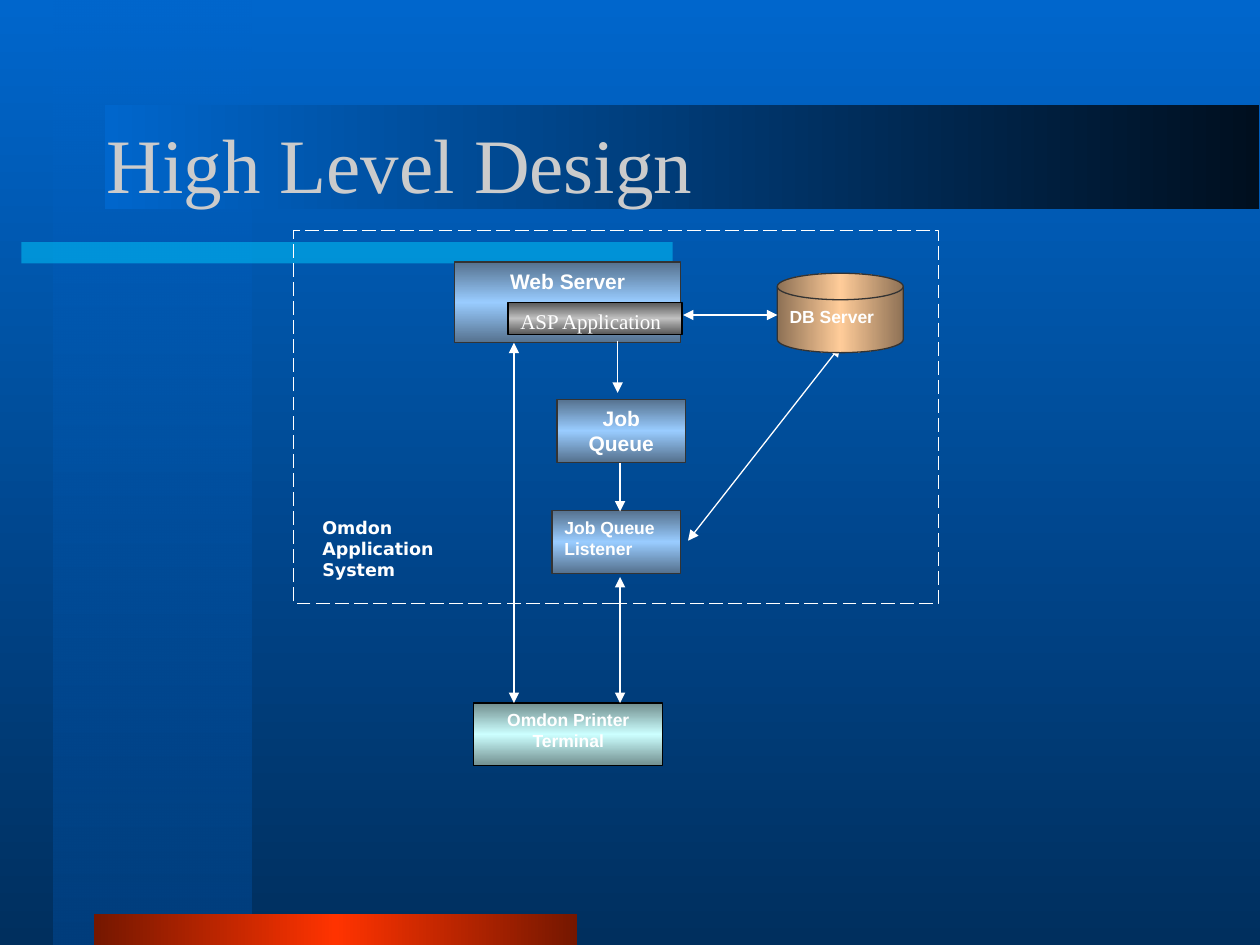
from lxml import etree
from pptx import Presentation
from pptx.dml.color import RGBColor
from pptx.enum.dml import MSO_LINE
from pptx.enum.shapes import MSO_CONNECTOR, MSO_SHAPE
from pptx.enum.text import MSO_ANCHOR, PP_ALIGN
from pptx.oxml.ns import qn
from pptx.util import Cm, Pt

RECTANGLE = MSO_SHAPE.RECTANGLE
DISK = MSO_SHAPE.FLOWCHART_MAGNETIC_DISK
STRAIGHT = MSO_CONNECTOR.STRAIGHT
LONG_DASH = MSO_LINE.LONG_DASH
TOP, MIDDLE = MSO_ANCHOR.TOP, MSO_ANCHOR.MIDDLE
LEFT, CENTER = PP_ALIGN.LEFT, PP_ALIGN.CENTER

SANS, SERIF, LABEL_FONT = "Arial", "Times New Roman", "DejaVu Sans"
DOWN, LEFTWARD = 90, 180

WHITE = RGBColor(0xFF, 0xFF, 0xFF)
BLACK = RGBColor(0x00, 0x00, 0x00)
OUTLINE = RGBColor(0x33, 0x33, 0x33)
TITLE_GREY = RGBColor(0xCB, 0xCB, 0xCB)
CYAN = RGBColor(0x00, 0xCC, 0xFF)
BLUE = RGBColor(0x00, 0x66, 0xCC)
DEEP_BLUE = RGBColor(0x00, 0x2F, 0x5E)
PILLAR_BLUE = RGBColor(0x00, 0x3E, 0x7D)
NIGHT_BLUE = RGBColor(0x00, 0x0F, 0x1F)
RED, DARK_RED = RGBColor(0xFF, 0x33, 0x00), RGBColor(0x75, 0x17, 0x00)
SKY, DARK_SKY = RGBColor(0x99, 0xCC, 0xFF), RGBColor(0x55, 0x71, 0x8E)
ICE, DARK_ICE = RGBColor(0xCC, 0xFF, 0xFF), RGBColor(0x71, 0x8E, 0x8E)
PEACH, DARK_PEACH = RGBColor(0xFF, 0xCC, 0x99), RGBColor(0x8E, 0x71, 0x55)
SILVER, DARK_SILVER = RGBColor(0xC0, 0xC0, 0xC0), RGBColor(0x58, 0x58, 0x58)

SKY_SHEEN = (DARK_SKY, SKY, DARK_SKY)


def set_alpha(color_element, percent):
    etree.SubElement(color_element, qn("a:alpha"), val=str(percent * 1000))


def set_gradient(fill, owner, colors, angle, first_alpha=None):
    """Spread the colors evenly along a linear gradient."""
    fill.gradient()
    gradient = next(owner.iter(qn("a:gradFill")))
    stops = gradient.find(qn("a:gsLst"))
    for stop in list(stops):
        stops.remove(stop)
    for index, color in enumerate(colors):
        position = 100000 * index // (len(colors) - 1)
        stop = etree.SubElement(stops, qn("a:gs"), pos=str(position))
        color_element = etree.SubElement(stop, qn("a:srgbClr"), val=str(color))
        if index == 0 and first_alpha is not None:
            set_alpha(color_element, first_alpha)
    gradient.find(qn("a:lin")).set("ang", str(angle * 60000))


def add_block(slide, box, colors=None, angle=DOWN, first_alpha=None,
              outline=None, kind=RECTANGLE):
    shape = slide.shapes.add_shape(kind, *map(Cm, box))
    shape.shadow.inherit = False
    if colors:
        set_gradient(shape.fill, shape.element, colors, angle, first_alpha)
    else:
        shape.fill.background()
    if outline is None:
        shape.line.fill.background()
    else:
        shape.line.color.rgb = outline
        shape.line.width = Pt(0.75)
    return shape


def write_text(shape, text, size=10, font=SANS, color=WHITE, bold=True,
               align=LEFT, anchor=TOP, side_inset=0.25, space_after=0):
    frame = shape.text_frame
    frame.word_wrap = True
    frame.vertical_anchor = anchor
    frame.margin_left = frame.margin_right = Cm(side_inset)
    frame.margin_top = frame.margin_bottom = Cm(0.13)
    frame.text = text
    for paragraph in frame.paragraphs:
        paragraph.alignment = align
        paragraph.space_after = Pt(space_after)
        paragraph.font.size = Pt(size)
        paragraph.font.name = font
        paragraph.font.bold = bold
        paragraph.font.color.rgb = color


def add_label(slide, box, text, **text_format):
    write_text(slide.shapes.add_textbox(*map(Cm, box)), text, **text_format)


def add_arrow(slide, start, end, width=0.75, both_ends=True):
    connector = slide.shapes.add_connector(STRAIGHT, *map(Cm, start + end))
    connector.line.color.rgb = WHITE
    connector.line.width = Pt(width)
    line = connector.line._get_or_add_ln()
    for tag in ("a:headEnd", "a:tailEnd") if both_ends else ("a:tailEnd",):
        etree.SubElement(line, qn(tag), type="triangle")
    etree.SubElement(connector.element.spPr, qn("a:effectLst"))


def add_backdrop(slide):
    set_gradient(slide.background.fill, slide.element, (BLUE, DEEP_BLUE), DOWN)
    add_block(slide, (1.07, 0, 4.01, 19.05), (BLUE, PILLAR_BLUE), first_alpha=50)
    stripe = add_block(slide, (0.43, 4.88, 13.13, 0.43))
    stripe.fill.solid()
    stripe.fill.fore_color.rgb = CYAN
    set_alpha(next(stripe.element.spPr.iter(qn("a:srgbClr"))), 50)
    add_block(slide, (1.9, 18.42, 9.73, 0.63), (DARK_RED, RED, DARK_RED), LEFTWARD)
    add_block(slide, (2.12, 2.11, 23.27, 2.11), (NIGHT_BLUE, BLUE), LEFTWARD)


def add_diagram(slide):
    # Printer and database
    printer = add_block(slide, (9.55, 14.17, 3.81, 1.27),
                        (DARK_ICE, ICE, DARK_ICE), outline=BLACK)
    write_text(printer, "Omdon Printer Terminal", align=CENTER,
               side_inset=0, space_after=6)
    add_arrow(slide, (13.87, 10.9), (16.94, 6.98))
    database = add_block(slide, (15.67, 5.51, 2.54, 1.6),
                         (DARK_PEACH, PEACH, DARK_PEACH), LEFTWARD,
                         outline=OUTLINE, kind=DISK)
    write_text(database, "DB Server", space_after=6)

    # System boundary
    add_label(slide, (6.25, 10.29, 2.92, 1.57), "Omdon Application System",
              font=LABEL_FONT)
    boundary = add_block(slide, (5.92, 4.65, 13, 7.52), outline=WHITE)
    boundary.line.width = Pt(1)
    boundary.line.dash_style = LONG_DASH

    # Server and job queue
    listener = add_block(slide, (11.13, 10.29, 2.59, 1.27), SKY_SHEEN,
                         outline=OUTLINE)
    write_text(listener, "Job Queue Listener", space_after=6)
    add_arrow(slide, (12.5, 9.32), (12.5, 10.31), both_ends=False)
    server = add_block(slide, (9.17, 5.28, 4.55, 1.63), SKY_SHEEN,
                       outline=OUTLINE)
    write_text(server, "Web Server", size=12, align=CENTER)
    queue = add_block(slide, (11.23, 8.05, 2.59, 1.27), SKY_SHEEN,
                      outline=OUTLINE)
    write_text(queue, "Job\nQueue", size=12, align=CENTER)
    add_arrow(slide, (12.45, 6.88), (12.45, 7.92), both_ends=False)
    add_arrow(slide, (10.36, 14.17), (10.36, 6.91))

    # Application inside the server
    application = add_block(slide, (10.24, 6.1, 3.51, 0.64),
                            (DARK_SILVER, SILVER, DARK_SILVER), outline=BLACK)
    write_text(application, "ASP Application", size=12, font=SERIF, bold=False)
    add_arrow(slide, (13.77, 6.35), (15.67, 6.35), width=1)
    add_arrow(slide, (12.5, 11.63), (12.5, 14.17), width=1)


def main():
    presentation = Presentation()
    presentation.slide_width, presentation.slide_height = Cm(25.4), Cm(19.05)
    slide = presentation.slides.add_slide(presentation.slide_layouts[6])
    add_backdrop(slide)
    add_label(slide, (1.9, 1.7, 21.6, 3.17), "High Level Design", size=44,
              font=SERIF, color=TITLE_GREY, bold=False, anchor=MIDDLE)
    add_diagram(slide)
    presentation.save("out.pptx")


if __name__ == "__main__":
    main()
